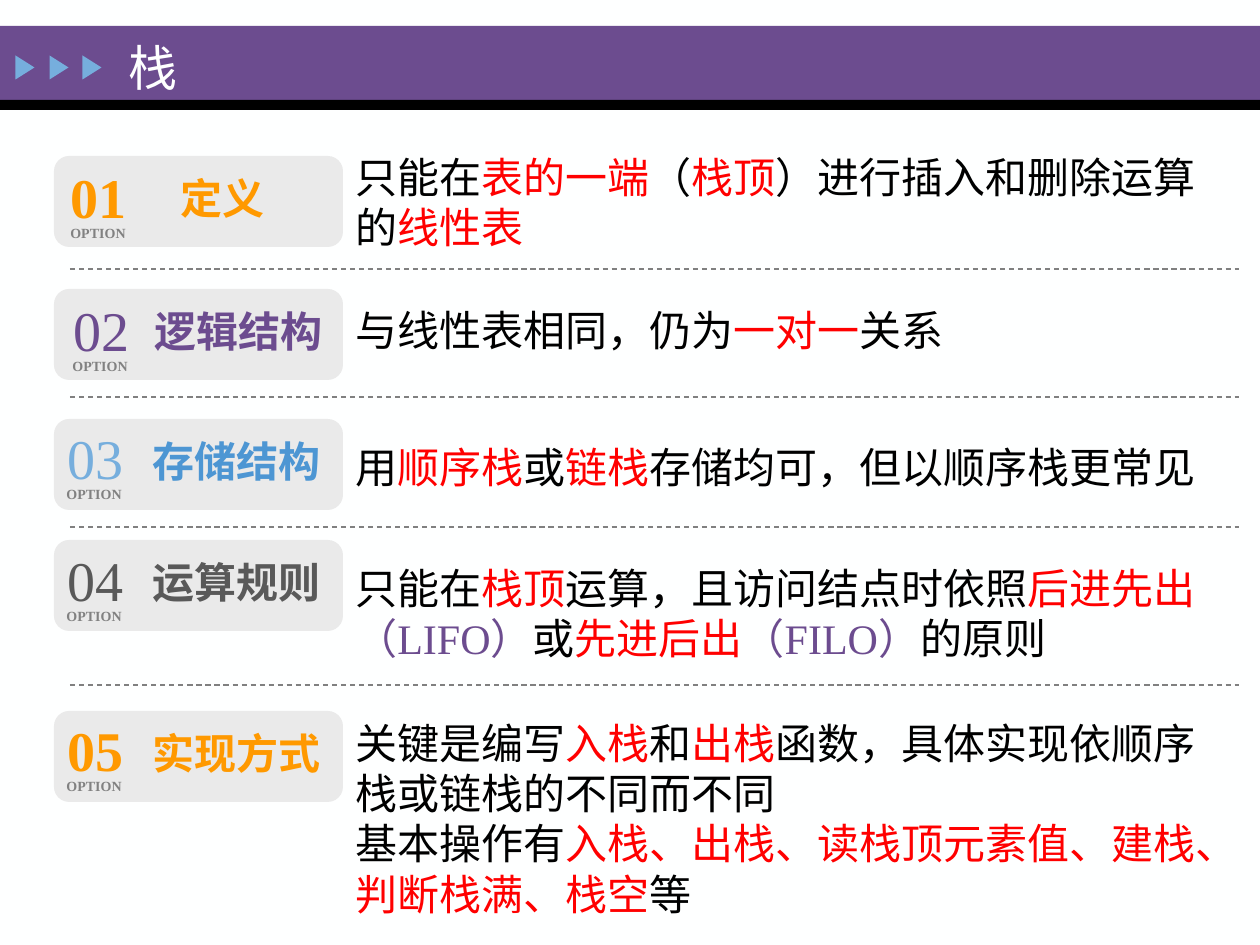
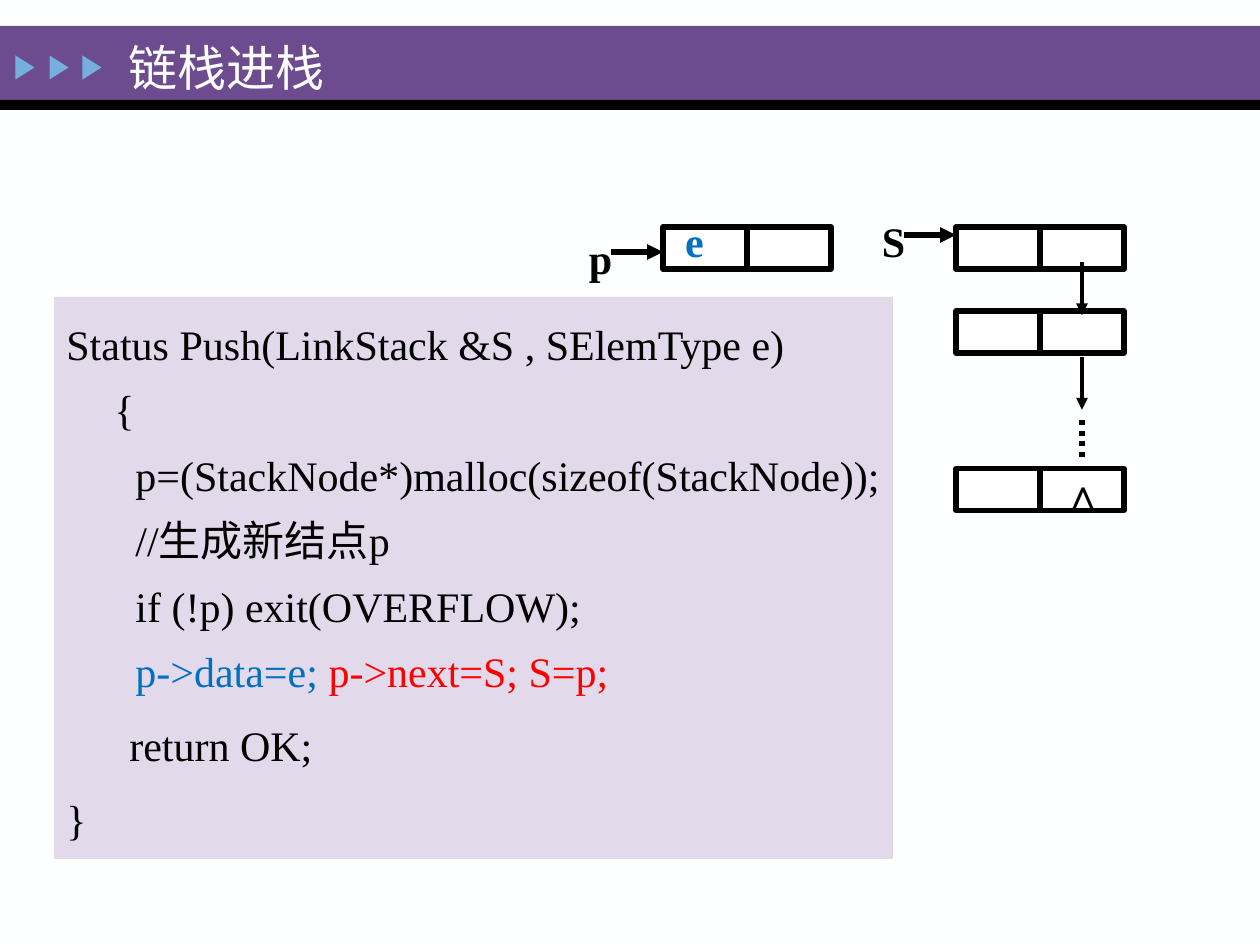
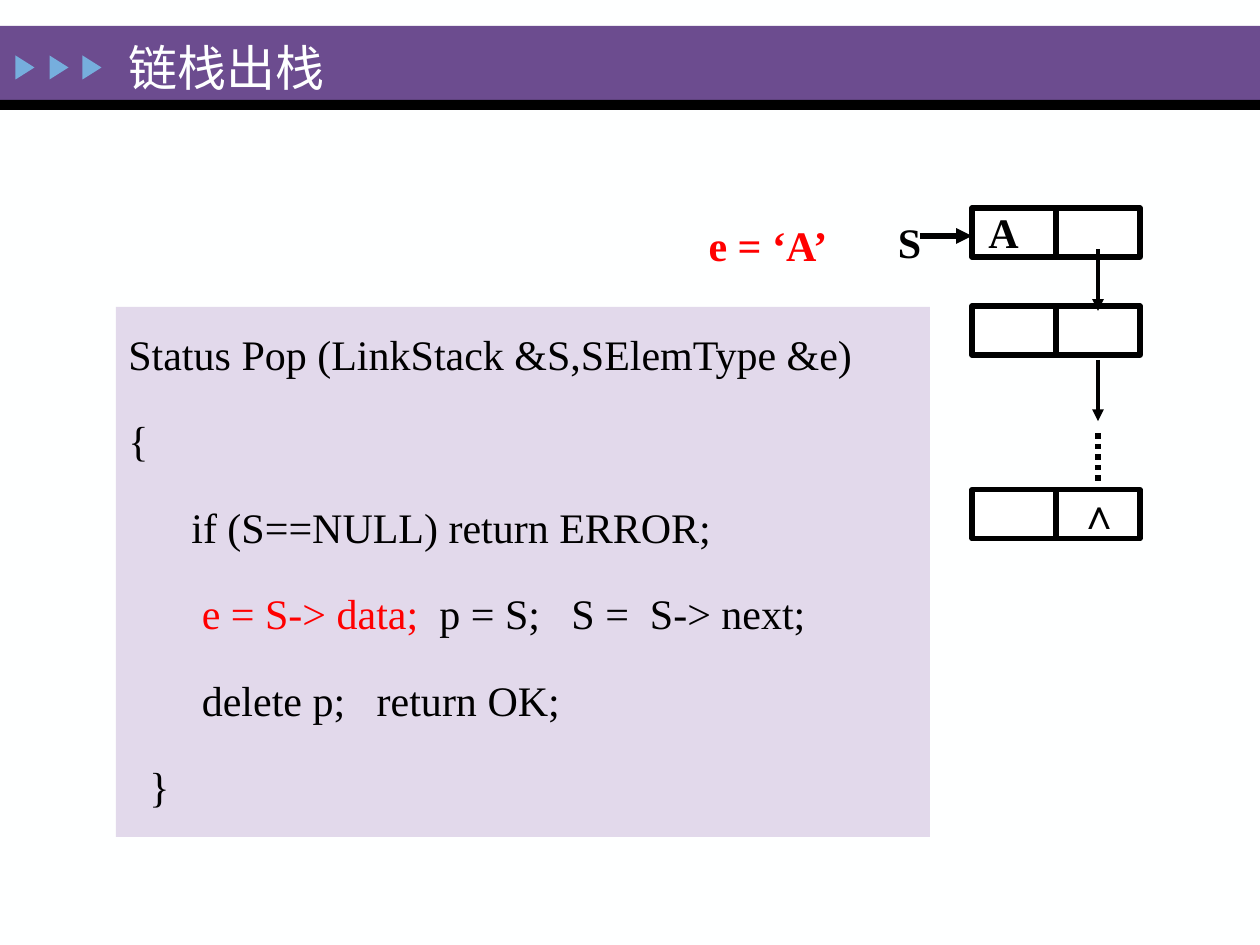
"""Build three slides on stacks: an overview, linked-stack push and linked-stack pop."""
from collections import namedtuple

from lxml import etree
from pptx import Presentation
from pptx.dml.color import RGBColor
from pptx.enum.dml import MSO_LINE
from pptx.enum.shapes import MSO_CONNECTOR, MSO_SHAPE
from pptx.enum.text import MSO_ANCHOR, PP_ALIGN
from pptx.oxml.ns import qn
from pptx.util import Emu, Pt

RECT, ROUNDED, TRIANGLE = MSO_SHAPE.RECTANGLE, MSO_SHAPE.ROUNDED_RECTANGLE, MSO_SHAPE.ISOSCELES_TRIANGLE
STRAIGHT = MSO_CONNECTOR.STRAIGHT
DASH, DOTS = MSO_LINE.DASH, MSO_LINE.ROUND_DOT
TOP, MIDDLE = MSO_ANCHOR.TOP, MSO_ANCHOR.MIDDLE
LEFT, CENTER = PP_ALIGN.LEFT, PP_ALIGN.CENTER

PX_PER_INCH = 126
SLIDE_W, SLIDE_H = 1260, 945
FONT = "Times New Roman"
COLORS = {
    "paper": "FEFFFF", "white": "FFFFFF", "black": "000000", "purple": "6C4C8F",
    "sky": "76AEDD", "blue": "4D96D3", "deep": "0070C0", "orange": "FF9900",
    "red": "FF0000", "slate": "595959", "grey": "818181", "rule": "808080",
    "card": "EAEAEA", "lilac": "E2D9EB",
}
NODE_W = 168
LETTER = 63

Option = namedtuple("Option", "top badge number bold number_color heading heading_x heading_color "
                              "text_top text_h leading text")

OPTIONS = [
    Option(156, (17, 6), "01", True, "orange", "定义", 114, "orange", 145, 115, 1.0,
           [[("只能在", "black"), ("表的一端", "red"), ("（", "black"), ("栈顶", "red"),
             ("）进行插入和删除运算的", "black"), ("线性表", "red")]]),
    Option(289, (19, 6), "02", False, "purple", "逻辑结构", 88, "purple", 304, 59, 0.9,
           [[("与线性表相同，仍为", "black"), ("一对一", "red"), ("关系", "black")]]),
    Option(419, (13, 4), "03", False, "sky", "存储结构", 86, "blue", 435, 50, 1.0,
           [[("用", "black"), ("顺序栈", "red"), ("或", "black"), ("链栈", "red"),
             ("存储均可，但以顺序栈更常见", "black")]]),
    Option(540, (13, 5), "04", False, "slate", "运算规则", 86, "slate", 556, 50, 1.0,
           [[("只能在", "black"), ("栈顶", "red"), ("运算，且访问结点时依照", "black"),
             ("后进先出", "red"), ("（LIFO）", "purple"), ("或", "black"),
             ("先进后出", "red"), ("（FILO）", "purple"), ("的原则", "black")]]),
    Option(711, (13, 4), "05", True, "orange", "实现方式", 86, "orange", 711, 226, 1.0,
           [[("关键是编写", "black"), ("入栈", "red"), ("和", "black"), ("出栈", "red"),
             ("函数，具体实现依顺序栈或链栈的不同而不同", "black")],
            [("基本操作有", "black"),
             ("入栈、出栈、读栈顶元素值、建栈、判断栈满、栈空", "red"), ("等", "black")]]),
]
RULE_TOPS = [269, 397, 527, 685]

PUSH_CODE = [
    [("Status Push(LinkStack &S , SElemType e)\n{\n"
      "  p=(StackNode*)malloc(sizeof(StackNode));   //生成新结点p \n"
      "  if (!p) exit(OVERFLOW);\n  ", "black"),
     ("p->data=e; ", "deep"), ("p->next=S; S=p;", "red")],
    [("      return OK;", "black")],
    [("}", "black")],
]
POP_CODE = [
    [("Status Pop (LinkStack &S,SElemType &e)", "black")],
    [("{", "black")],
    [("if (S==NULL) return ERROR;", "black")],
    [(" e = S-> data;", "red"), ("  p = S;   S =  S-> next;", "black")],
    [(" delete p;   return OK;", "black")],
    [("  }", "black")],
]


def px(length):
    """Turn pixels into EMU."""
    return Emu(round(length * 914400 / PX_PER_INCH))


def rgb(name):
    """Look up a named colour."""
    return RGBColor.from_string(COLORS[name])


def add_block(slide, kind, box, fill, border=None):
    """Add a flat filled shape, with a black border of the given points if any."""
    block = slide.shapes.add_shape(kind, *map(px, box))
    block.shadow.inherit = False
    block.fill.solid()
    block.fill.fore_color.rgb = rgb(fill)
    if border:
        block.line.color.rgb = rgb("black")
        block.line.width = Pt(border)
    else:
        block.line.fill.background()
    return block


def add_line(slide, start, end, width=3, color="black", dash=None, arrow=False):
    """Add a straight line, dashed or ending in an arrowhead on request."""
    line = slide.shapes.add_connector(STRAIGHT, *map(px, (*start, *end)))
    line.line.color.rgb = rgb(color)
    line.line.width = Pt(width)
    if dash:
        line.line.dash_style = dash
    properties = line._element.spPr
    if arrow:
        etree.SubElement(properties.find(qn("a:ln")), qn("a:tailEnd"), type="triangle")
    etree.SubElement(properties, qn("a:effectLst"))
    return line


def write(frame, paragraphs, size=24, bold=False, align=LEFT, anchor=TOP, leading=1.0,
          gap=0, indents=None):
    """Write coloured runs as paragraphs; indents maps a paragraph index to margin and first line."""
    frame.word_wrap = True
    frame.vertical_anchor = anchor
    for index, runs in enumerate(paragraphs):
        paragraph = frame.paragraphs[0] if index == 0 else frame.add_paragraph()
        paragraph.alignment = align
        if leading != 1.0:
            paragraph.line_spacing = leading
        if index and gap:
            paragraph.space_before = Pt(gap)
        if indents and index in indents:
            margin, first = indents[index]
            properties = paragraph._p.get_or_add_pPr()
            properties.set("marL", str(px(margin)))
            properties.set("indent", str(px(first)))
        paragraph.font.name = FONT
        paragraph.font.size = Pt(size)
        paragraph.font.bold = bold
        for text, color in runs:
            for line_index, piece in enumerate(text.split("\n")):
                if line_index:
                    paragraph.add_line_break()
                if piece:
                    run = paragraph.add_run()
                    run.text = piece
                    run.font.color.rgb = rgb(color)


def add_text(slide, box, paragraphs, inset=True, **style):
    """Add a text box, without margins if inset is off."""
    frame = slide.shapes.add_textbox(*map(px, box)).text_frame
    if not inset:
        frame.margin_left = frame.margin_right = frame.margin_top = frame.margin_bottom = 0
    write(frame, paragraphs, **style)


def add_titled_slide(prs, title):
    """Add a slide with the title band, its three markers and the title."""
    slide = prs.slides.add_slide(prs.slide_layouts[6])
    slide.background.fill.solid()
    slide.background.fill.fore_color.rgb = rgb("paper")
    add_block(slide, RECT, (0, 26, SLIDE_W, 74), "purple")
    add_block(slide, RECT, (0, 100, SLIDE_W, 10), "black")
    for left in (13, 47, 80):
        add_block(slide, TRIANGLE, (left, 58, 24, 19), "sky").rotation = 90
    add_text(slide, (116, 35, 882, 63), [[(title, "paper")]], size=28, anchor=MIDDLE)
    return slide


def draw_option(slide, left, option):
    """Draw a numbered card and the explanation at its right."""
    top = option.top
    add_block(slide, ROUNDED, (left, top, 289, 91), "card")
    badge_x, badge_y = left + option.badge[0], top + option.badge[1]
    add_text(slide, (badge_x, badge_y, 68, 68), [[(option.number, option.number_color)]],
             inset=False, size=32, bold=option.bold, anchor=MIDDLE)
    add_text(slide, (badge_x - 13, badge_y + 56, 86, 30), [[("OPTION", "grey")]], size=8, bold=True)
    add_text(slide, (left + option.heading_x, top + 8, 207, 68),
             [[(option.heading, option.heading_color)]], bold=True, anchor=MIDDLE)
    add_text(slide, (left + 289, option.text_top, 885, option.text_h), option.text,
             leading=option.leading)


def draw_letter(slide, left, top, letter, color="black"):
    """Write one bold letter centred in a small square."""
    add_text(slide, (left, top, LETTER, LETTER), [[(letter, color)]], bold=True, align=CENTER)


def draw_node(slide, left, top, height):
    """Draw a list node split into a data half and a link half."""
    node = add_block(slide, RECT, (left, top, NODE_W, height), "white", border=3)
    middle = left + NODE_W / 2
    divider = add_line(slide, (middle, top), (middle, top + height))
    divider.begin_connect(node, 0)
    divider.end_connect(node, 2)


def draw_pointer(slide, node_left, y, name):
    """Draw a named pointer arrow that ends at a node's left side."""
    add_line(slide, (node_left - 52, y), (node_left, y), arrow=True)
    draw_letter(slide, node_left - 94, y - 26, name)


def draw_linked_stack(slide, left, top, height, pointer_y):
    """Draw the chain of nodes below the top pointer, spaced in node heights."""
    for step in (0, 2, 5.75):
        draw_node(slide, left, top + step * height, height)
    link_x = left + NODE_W * 3 / 4
    for start, end in ((0.84, 2.1), (3.1, 4.35)):
        add_line(slide, (link_x, top + start * height), (link_x, top + end * height),
                 width=2.25, arrow=True)
    null_top = top + 5.58 * height
    add_line(slide, (link_x, top + 4.6 * height), (link_x, null_top), dash=DOTS)
    draw_letter(slide, link_x - LETTER / 2, null_top, "∧")
    draw_pointer(slide, left, pointer_y, "S")


def draw_code(slide, box, code, gap, indents):
    """Draw a code listing on a lilac panel."""
    panel = add_block(slide, RECT, box, "lilac")
    write(panel.text_frame, code, leading=1.3, gap=gap, indents=indents)


def build_overview(prs):
    """Build the slide that lists five aspects of a stack."""
    slide = add_titled_slide(prs, "栈")
    for option in OPTIONS:
        draw_option(slide, 54, option)
    for y in RULE_TOPS:
        add_line(slide, (70, y), (1239, y), width=0.75, color="rule", dash=DASH)


def build_push(prs):
    """Build the slide on pushing to a linked stack."""
    slide = add_titled_slide(prs, "链栈进栈")
    draw_node(slide, 663, 227, 42)
    draw_pointer(slide, 663, 252, "p")
    draw_linked_stack(slide, 956, 227, 42, 235)
    draw_letter(slide, 663, 209, "e", "deep")
    draw_code(slide, (54, 297, 839, 562), PUSH_CODE, 4.8,
              {index: (48, -48) for index in range(len(PUSH_CODE))})


def build_pop(prs):
    """Build the slide on popping from a linked stack."""
    slide = add_titled_slide(prs, "链栈出栈")
    draw_linked_stack(slide, 972, 208, 49, 236)
    draw_letter(slide, 972, 200, "A")
    add_text(slide, (658, 213, 220, LETTER), [[("e = ‘A’", "red")]], bold=True, align=CENTER)
    draw_code(slide, (116, 307, 814, 530), POP_CODE, 12,
              {index: (63, 0) for index in (2, 3, 4)})


def main():
    """Build the presentation and save it."""
    prs = Presentation()
    prs.slide_width, prs.slide_height = px(SLIDE_W), px(SLIDE_H)
    build_overview(prs)
    build_push(prs)
    build_pop(prs)
    prs.save("out.pptx")


if __name__ == "__main__":
    main()
